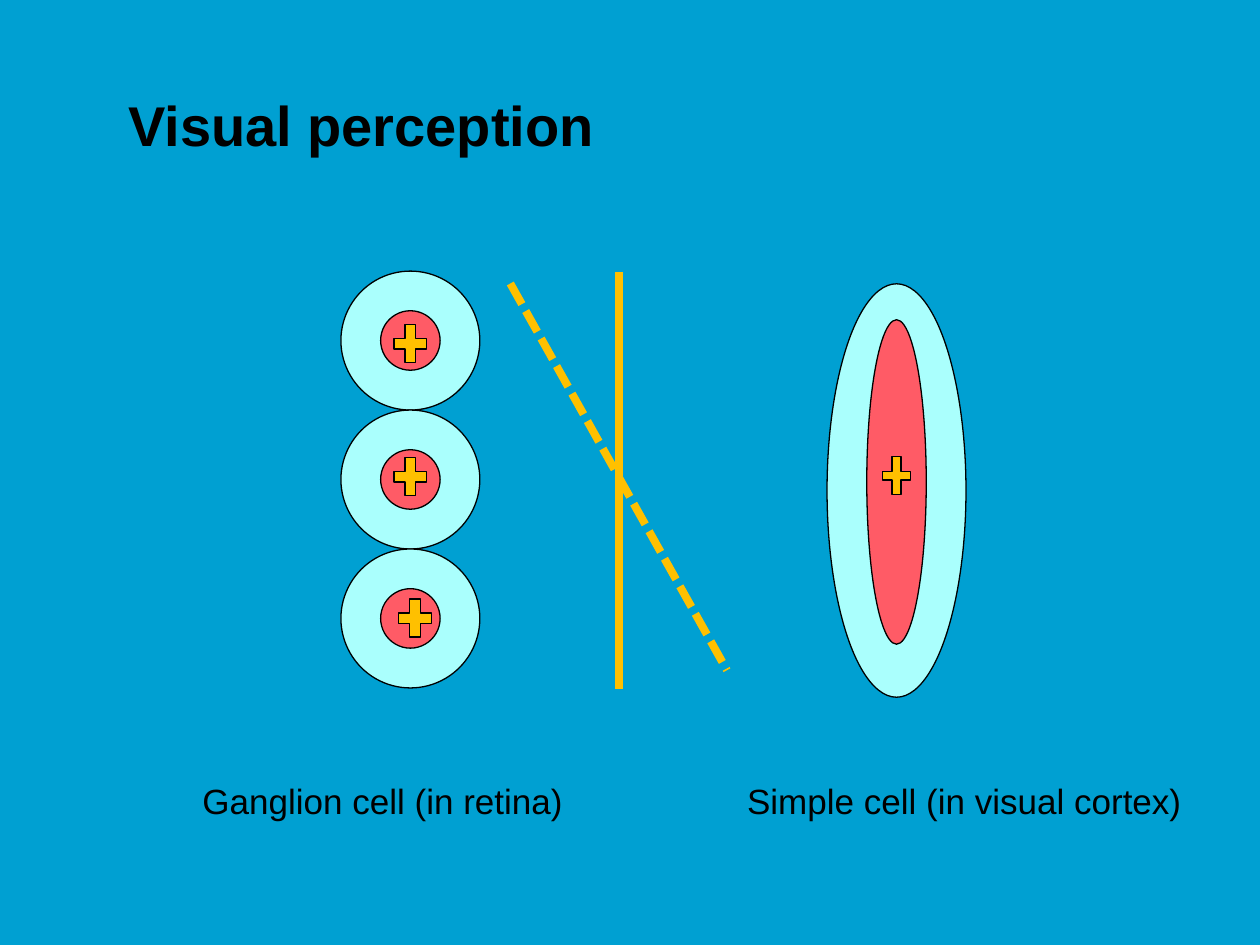
import pptx
import pptx.util
import pptx.dml.color
import pptx.enum.dml
import pptx.enum.shapes
import pptx.enum.text
import lxml.etree

Pt = pptx.util.Pt
Kind = pptx.enum.shapes.MSO_SHAPE
Dash = pptx.enum.dml.MSO_LINE
Anchor = pptx.enum.text.MSO_ANCHOR
HUES = {"back": "00A0D2", "ring": "AAFFFD", "core": "FF5B66", "gold": "FFC000", "ink": "000000"}


class Board:
    """Draws styled elements on the current slide."""

    def __init__(self, slide, font="Arial"):
        self.slide = slide
        self.font = font
        fill = slide.background.fill
        fill.solid()
        fill.fore_color.rgb = self.hue("back")

    def hue(self, name):
        return pptx.dml.color.RGBColor.from_string(HUES[name])

    def shape(self, kind, mid, size, name):
        (x, y), (w, h) = mid, size
        item = self.slide.shapes.add_shape(kind, Pt(x - w / 2), Pt(y - h / 2), Pt(w), Pt(h))
        item.shadow.inherit = False
        item.fill.solid()
        item.fill.fore_color.rgb = self.hue(name)
        item.line.color.rgb = self.hue("ink")
        item.line.width = Pt(0.75)

    def bar(self, start, end, dash=None):
        ends = [Pt(v) for v in (*start, *end)]
        item = self.slide.shapes.add_connector(pptx.enum.shapes.MSO_CONNECTOR.STRAIGHT, *ends)
        item.line.color.rgb = self.hue("gold")
        item.line.width = Pt(4.5)
        if dash:
            item.line.dash_style = dash
        props = item.element.spPr
        lxml.etree.SubElement(props, pptx.oxml.ns.qn("a:effectLst"))

    def text(self, words, box, size, bold=False, wrap=False, anchor=Anchor.TOP):
        frame = self.slide.shapes.add_textbox(*[Pt(v) for v in box]).text_frame
        frame.word_wrap = wrap
        frame.vertical_anchor = anchor
        line = frame.paragraphs[0]
        line.text = words
        line.font.name = self.font
        line.font.size = Pt(size)
        line.font.bold = bold
        line.font.color.rgb = self.hue("ink")


def main():
    deck = pptx.Presentation()
    deck.slide_width, deck.slide_height = Pt(720), Pt(540)
    board = Board(deck.slides.add_slide(deck.slide_layouts[6]))

    board.text("Visual perception", (66.2, 48.2, 486, 45.4), 32, True, True, Anchor.BOTTOM)

    wide, core, left, right = 79.4, 34, 234.5, 512.3
    for row in range(3):
        mid = (left, 194.6 + row * wide)
        board.shape(Kind.OVAL, mid, (wide, wide), "ring")
        board.shape(Kind.OVAL, mid, (core, core), "core")
    for mid in ((left, 196.4), (left, 272.4), (237.2, 353.2)):
        board.shape(Kind.MATH_PLUS, mid, (25.2, 29.5), "gold")

    board.shape(Kind.OVAL, (right, 280.3), (wide, 236.2), "ring")
    board.bar((353.6, 155.5), (353.6, 393.8))
    board.bar((291.6, 162), (415.4, 383), Dash.SQUARE_DOT)
    board.shape(Kind.OVAL, (right, 275.4), (core, 185.4), "core")
    board.shape(Kind.MATH_PLUS, (right, 271.8), (21.6, 29.5), "gold")

    board.text("Ganglion cell (in retina)", (108.6, 442.1, 222.5, 31.7), 20)
    board.text("Simple cell (in visual cortex)", (419.8, 442.1, 265, 31.7), 20)

    deck.save("out.pptx")


if __name__ == "__main__":
    main()
